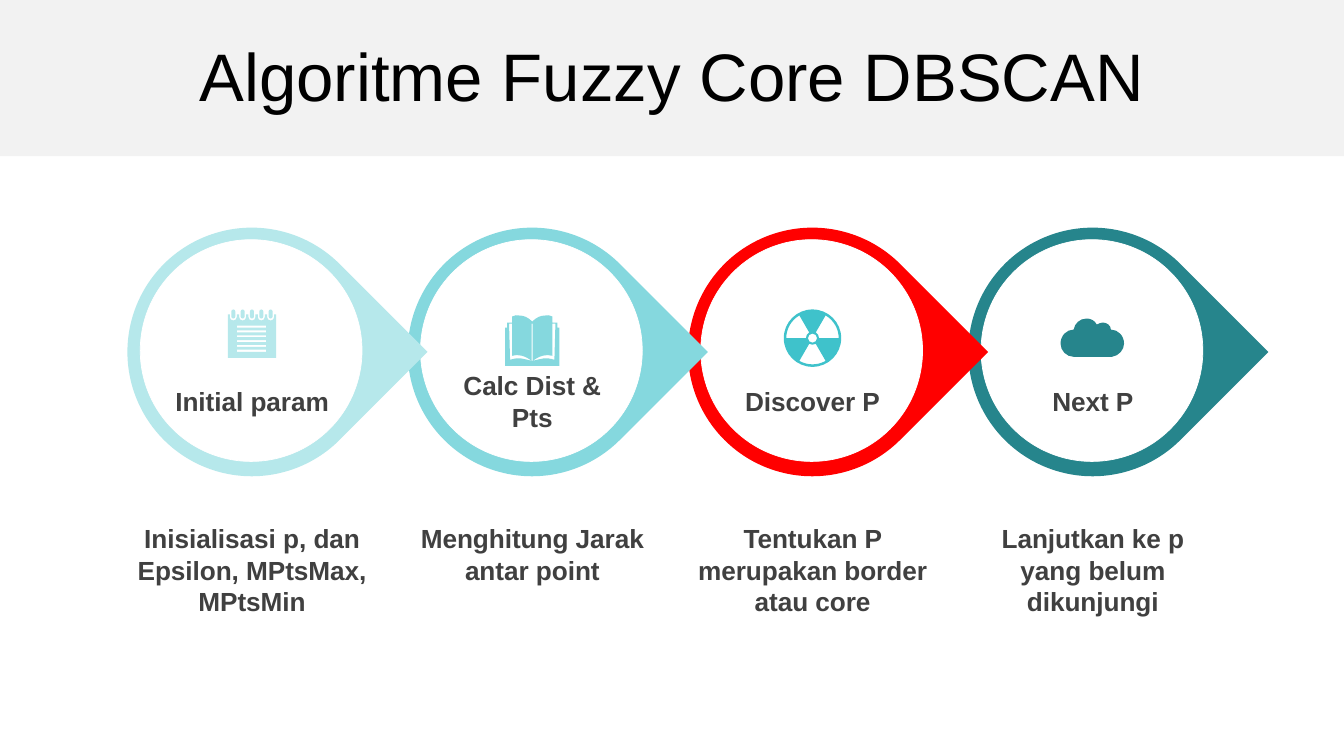
import math
from dataclasses import dataclass
from typing import Callable

from lxml import etree
from pptx import Presentation
from pptx import util as u
from pptx.dml.color import RGBColor
from pptx.enum import shapes, text
from pptx.oxml import ns

Point = tuple[float, float]
Contour = list[tuple[Point, ...]]

COLUMNS, ROWS = 48, 27
WIDTH, HEIGHT = u.Inches(13.3333), u.Inches(7.5)
ICON_UNIT = WIDTH / 1333.33
ICON_PRECISION = 100
FONT = "Arial"

BLACK = RGBColor(0x00, 0x00, 0x00)
WHITE = RGBColor(0xFF, 0xFF, 0xFF)
BAND_GREY = RGBColor(0xF2, 0xF2, 0xF2)
TEXT_GREY = RGBColor(0x40, 0x40, 0x40)
PALE_AQUA = RGBColor(0xB6, 0xE8, 0xEB)
AQUA = RGBColor(0x85, 0xD8, 0xDE)
TURQUOISE = RGBColor(0x3F, 0xC2, 0xCB)
RED = RGBColor(0xFF, 0x00, 0x00)
TEAL = RGBColor(0x26, 0x85, 0x8C)

FIRST_COLUMN, STEP_COLUMNS = 9, 10.01
ICON_ROW = 12.6
LABEL_ROW, DETAIL_ROW = 14.32, 18.48


@dataclass(frozen=True)
class Step:
    label: str
    label_lines: int
    detail: str
    detail_lines: int
    colour: RGBColor
    icon_colour: RGBColor
    icon: Callable[[], list[Contour]]


def column(count: float) -> int:
    return round(WIDTH * count / COLUMNS)


def row(count: float) -> int:
    return round(HEIGHT * count / ROWS)


def lines(*points: Point) -> Contour:
    return [(point,) for point in points]


def arc(x: float, y: float, radius: float, start: float, end: float) -> Contour:
    count = math.ceil(abs(end - start) / 90)
    turn = math.radians(end - start) / count
    pull = 4 / 3 * math.tan(turn / 4)

    def at(angle: float, along: float) -> Point:
        return (x + radius * (math.cos(angle) - along * math.sin(angle)),
                y + radius * (math.sin(angle) + along * math.cos(angle)))

    angles = [math.radians(start) + turn * k for k in range(count + 1)]
    return [(at(angles[0], 0),)] + [(at(a, pull), at(b, -pull), at(b, 0))
                                    for a, b in zip(angles, angles[1:])]


def mirror(contour: Contour) -> Contour:
    points = [(-x, y) for segment in reversed(contour) for x, y in reversed(segment)]
    mirrored, used = [(points[0],)], 1
    for segment in reversed(contour[1:]):
        mirrored.append(tuple(points[used:used + len(segment)]))
        used += len(segment)
    return mirrored


def rectangle(left: float, top: float, right: float, bottom: float) -> Contour:
    return lines((left, top), (right, top), (right, bottom), (left, bottom))


def notepad() -> list[Contour]:
    ring_centres = [9.25 * k for k in range(-2, 3)]
    sheet = lines((-24, -38))
    for x in ring_centres:
        sheet += lines((x - 3.5, -38)) + arc(x, -35.5, 3.5, 180, 0) + lines((x + 3.5, -38))
    sheet += lines((24, -38), (24, 5), (-24, 5))
    rings = [arc(x, -41, 2, 180, 360) + arc(x, -36, 2, 0, 180) for x in ring_centres]
    rules = [rectangle(-15, -27 + 4.8 * k, 14, -25 + 4.8 * k) for k in range(6)]
    return [sheet, *rings, *rules]


def book() -> list[Contour]:
    half = [((0, -31),), ((4, -35), (8, -37), (13, -37)), ((15, -38), (17, -37), (20, -36)),
            *lines((20, -30), (25, -30), (25, -25), (27, -25), (27, 13))]
    gap = [((0.5, 8),), ((9, 6), (13, 4), (22, 7)),
           *lines((23, -29), (20, -29), (20, 3)), ((14, 1), (7, 3), (0.5, 8))]
    return [half + mirror(half), gap, mirror(gap), rectangle(-0.5, -29, 0.5, 8)]


def radiation() -> list[Contour]:
    y = -14.5
    gaps = [arc(0, y, 26, start, start + 60) + arc(0, y, 6.5, start + 60, start)
            for start in (-60, 60, 180)]
    return [arc(0, y, 28.5, 0, 360), arc(0, y, 4.5, 0, 360), *gaps]


def cloud() -> list[Contour]:
    return [[((-6, -34),), ((-2, -34), (2, -32), (4, -28)), ((6, -29), (8, -30), (10, -30)),
             ((14, -30), (18, -27), (18, -23)), ((25, -23), (31, -17), (31, -9)),
             ((31, -3), (26, 3), (19, 4)), ((-19, 4),), ((-26, 4), (-32, -2), (-32, -9)),
             ((-32, -17), (-26, -23), (-19, -23)), ((-18, -29), (-13, -34), (-6, -34))]]


STEPS = [
    Step("Initial param", 1, "Inisialisasi p, dan Epsilon, MPtsMax, MPtsMin", 3,
         PALE_AQUA, PALE_AQUA, notepad),
    Step("Calc Dist & Pts", 2, "Menghitung Jarak antar point", 2, AQUA, AQUA, book),
    Step("Discover P", 1, "Tentukan P merupakan border atau core", 3,
         RED, TURQUOISE, radiation),
    Step("Next P", 1, "Lanjutkan ke p yang belum dikunjungi", 3, TEAL, TEAL, cloud),
]


def paint(shape, colour: RGBColor) -> None:
    shape.shadow.inherit = False
    shape.fill.solid()
    shape.fill.fore_color.rgb = colour
    shape.line.fill.background()


def write(box, words: str, size: float, colour: RGBColor, bold: bool) -> None:
    frame = box.text_frame
    frame.text = words
    frame.word_wrap = True
    frame.vertical_anchor = text.MSO_ANCHOR.MIDDLE
    para = frame.paragraphs[0]
    para.alignment = text.PP_ALIGN.CENTER
    for span in para.runs:
        span.font.name = FONT
        span.font.size = u.Pt(size)
        span.font.bold = bold
        span.font.color.rgb = colour


def add_round(page, kind, x: float, y: float, size: float, colour: RGBColor):
    shape = page.shapes.add_shape(kind, column(x - size / 2), row(y - size / 2),
                                  column(size), row(size))
    paint(shape, colour)
    return shape


def add_words(page, x: float, top: float, columns: float, rows: float, words: str) -> None:
    box = page.shapes.add_textbox(column(x - columns / 2), row(top),
                                  column(columns), row(rows))
    write(box, words, 18.67, TEXT_GREY, True)
    box.text_frame.auto_size = text.MSO_AUTO_SIZE.SHAPE_TO_FIT_TEXT


def bend(shape, contours: list[Contour]) -> None:
    straight = iter(list(shape.element.iter(ns.qn("a:lnTo"))))
    for segment in (segment for contour in contours for segment in contour[1:]):
        pieces = [next(straight) for _ in segment]
        if len(pieces) == 3:
            bezier = etree.Element(ns.qn("a:cubicBezTo"))
            pieces[0].addprevious(bezier)
            for piece in pieces:
                bezier.append(piece[0])
                piece.getparent().remove(piece)


def add_icon(page, x: float, contours: list[Contour], colour: RGBColor) -> None:
    scaled = [[(px * ICON_PRECISION, py * ICON_PRECISION)
               for segment in contour for px, py in segment] for contour in contours]
    builder = page.shapes.build_freeform(*scaled[0][0], scale=ICON_UNIT / ICON_PRECISION)
    builder.add_line_segments(scaled[0][1:], close=True)
    for points in scaled[1:]:
        builder.move_to(*points[0])
        builder.add_line_segments(points[1:], close=True)
    shape = builder.convert_to_shape(column(x), row(ICON_ROW))
    bend(shape, contours)
    paint(shape, colour)


def text_rows(line_count: int) -> float:
    return 0.4 + 1.11 * line_count


def add_step(page, index: int, step: Step) -> None:
    x = FIRST_COLUMN + STEP_COLUMNS * index
    drop = add_round(page, shapes.MSO_SHAPE.TEAR, x - 0.01, 12.57, 8.88, step.colour)
    drop.rotation = 45
    disc = add_round(page, shapes.MSO_SHAPE.OVAL, x - 0.03, 12.52, 7.92, WHITE)
    disc.line.color.rgb = WHITE
    disc.line.width = u.Pt(0.5)
    label_rows = text_rows(step.label_lines)
    add_words(page, x, LABEL_ROW - label_rows / 2, 6.9, label_rows, step.label)
    add_words(page, x, DETAIL_ROW, 9.07, text_rows(step.detail_lines), step.detail)
    add_icon(page, x, step.icon(), step.icon_colour)


def main() -> None:
    deck = Presentation()
    deck.slide_width, deck.slide_height = WIDTH, HEIGHT
    layout = deck.slide_layouts[5]
    page = deck.slides.add_slide(layout)
    band = page.shapes.add_shape(shapes.MSO_SHAPE.RECTANGLE, 0, 0, WIDTH, row(5.58))
    paint(band, BAND_GREY)
    layout.shapes.element.insert(2, band.element)
    title = page.shapes.title
    title.left, title.top, title.width, title.height = 0, row(1.15), WIDTH, row(3.02)
    write(title, "Algoritme Fuzzy Core DBSCAN", 48, BLACK, False)
    for index, step in reversed(list(enumerate(STEPS))):
        add_step(page, index, step)
    deck.save("out.pptx")


if __name__ == "__main__":
    main()
